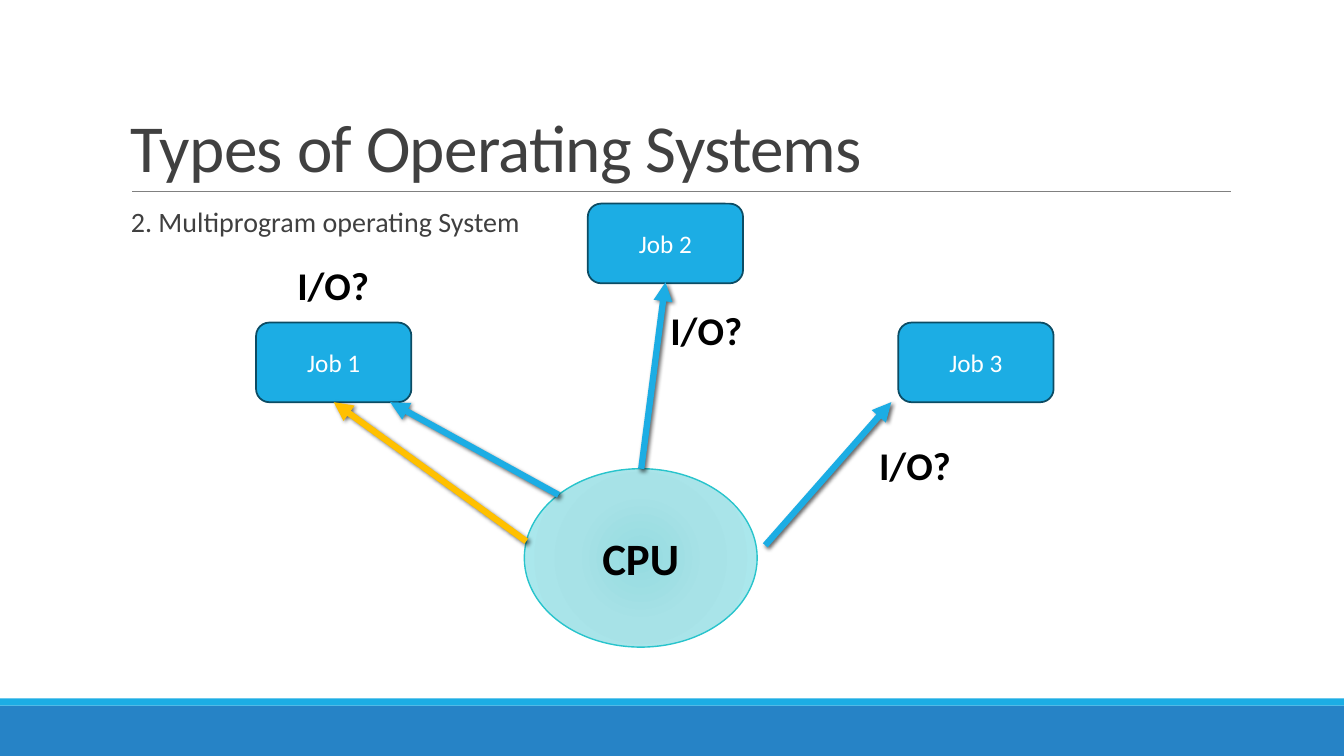
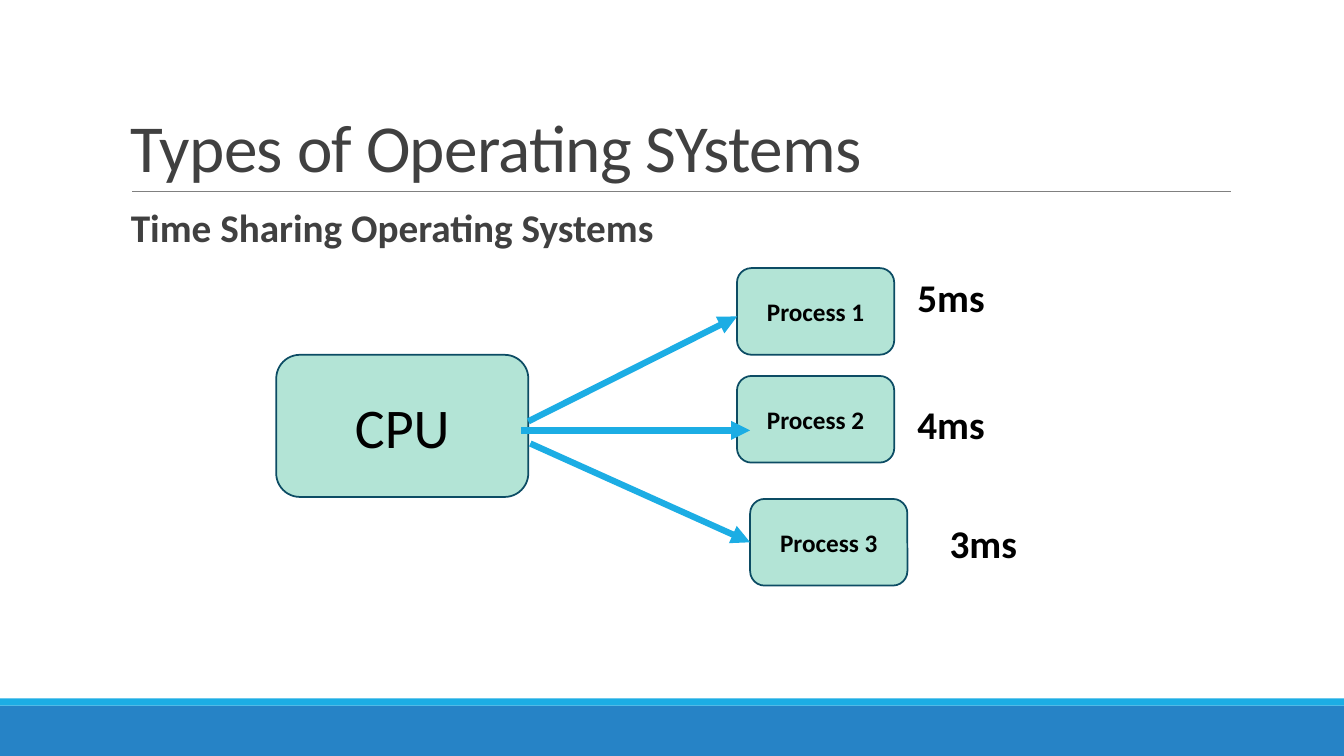
import dataclasses

import lxml.etree
import pptx
import pptx.dml.color
import pptx.enum.shapes
import pptx.enum.text
import pptx.oxml.ns
import pptx.util

Inches = pptx.util.Inches
Shape = pptx.enum.shapes.MSO_SHAPE
Align = pptx.enum.text.PP_ALIGN
Anchor = pptx.enum.text.MSO_ANCHOR


@dataclasses.dataclass(frozen=True)
class Theme:
    # Colours
    blue: str = "1CADE4"
    band: str = "2683C6"
    outline: str = "0C4C64"
    mint: str = "B3E4D6"
    gold: str = "FFC000"
    teal: str = "28C4CC"
    glow: tuple = ((0, "95DBE0"), (45, "A7E2E7"), (100, "ACE9EE"))
    rule: str = "808080"
    heading: str = "404040"
    black: str = "000000"
    white: str = "FFFFFF"
    # Type
    font: str = "Calibri"
    title_size: int = 48
    hub_size: int = 40
    cpu_size: int = 32
    label_size: int = 28
    body_size: int = 20
    box_size: int = 18


THEME = Theme()


def rgb(value):
    return pptx.dml.color.RGBColor.from_string(value)


def add_xml(parent, tag, **attributes):
    """Append a DrawingML element and return it."""
    element = lxml.etree.SubElement(parent, pptx.oxml.ns.qn("a:" + tag))
    for name, value in attributes.items():
        element.set(name, str(value))
    return element


def write_text(frame, text, size, color=THEME.black, bold=False, align=Align.LEFT,
               anchor=Anchor.TOP, wrap=True, line_spacing=None, before=0, after=0,
               tracking=None):
    """Fill a text frame with one formatted paragraph."""
    frame.word_wrap = wrap
    frame.vertical_anchor = anchor
    para = frame.paragraphs[0]
    para.alignment = align
    para.line_spacing = line_spacing
    para.space_before = pptx.util.Pt(before)
    para.space_after = pptx.util.Pt(after)
    span = para.add_run()
    span.text = text
    span.font.name = THEME.font
    span.font.size = pptx.util.Pt(size)
    span.font.bold = bold
    span.font.color.rgb = rgb(color)
    if tracking is not None:
        span.font._element.set("spc", str(round(tracking * 100)))


class DeckBuilder:
    def __init__(self, theme):
        self.theme = theme
        self.deck = pptx.Presentation()
        self.deck.slide_width = Inches(13.33)
        self.deck.slide_height = Inches(7.5)
        self.page = None

    def start_page(self, title, subtitle, **subtitle_format):
        """Add a page with the shared bands, rule, title and subtitle."""
        theme = self.theme
        self.page = self.deck.slides.add_slide(self.deck.slide_layouts[6])
        self.shape(Shape.RECTANGLE, 0, 7, 13.33, 0.5, fill=theme.band)
        self.shape(Shape.RECTANGLE, 0, 6.93, 13.33, 0.07, fill=theme.blue)
        self.line((1.31, 1.9), (12.21, 1.9), theme.rule, 0.5)
        self.text(title, 1.2, 0.31, 11, 1.59, size=theme.title_size,
                  color=theme.heading, anchor=Anchor.BOTTOM, line_spacing=0.85,
                  tracking=-0.5)
        self.text(subtitle, 1.2, 2.02, 11, 4.4, color=theme.heading,
                  line_spacing=0.9, before=12, after=2, **subtitle_format)

    def text(self, text, left, top, width, height, grow=False, **text_format):
        box = self.page.shapes.add_textbox(
            Inches(left), Inches(top), Inches(width), Inches(height))
        write_text(box.text_frame, text, **text_format)
        if grow:
            box.text_frame.auto_size = pptx.enum.text.MSO_AUTO_SIZE.SHAPE_TO_FIT_TEXT

    def label(self, text, left, top, width, wrap=True):
        self.text(text, left, top, width, 0.57, grow=True, wrap=wrap,
                  size=self.theme.label_size, bold=True)

    def shape(self, kind, left, top, width, height, fill=None, line=None,
              line_width=1.25, text=None, **text_format):
        shape = self.page.shapes.add_shape(
            kind, Inches(left), Inches(top), Inches(width), Inches(height))
        shape.shadow.inherit = False
        if fill:
            shape.fill.solid()
            shape.fill.fore_color.rgb = rgb(fill)
        if line:
            shape.line.color.rgb = rgb(line)
            shape.line.width = pptx.util.Pt(line_width)
        else:
            shape.line.fill.background()
        if text:
            write_text(shape.text_frame, text, align=Align.CENTER,
                       anchor=Anchor.MIDDLE, **text_format)
        return shape

    def node(self, text, left, top, width, height, fill, **text_format):
        self.shape(Shape.ROUNDED_RECTANGLE, left, top, width, height, fill=fill,
                   line=self.theme.outline, text=text, **text_format)

    def glowing_ellipse(self, text, left, top, width, height):
        ellipse = self.shape(Shape.OVAL, left, top, width, height,
                             line=self.theme.teal, line_width=1, text=text,
                             size=self.theme.cpu_size, bold=True)
        # Radial gradient around the centre
        ellipse.fill.gradient()
        gradient = ellipse._element.spPr.find(pptx.oxml.ns.qn("a:gradFill"))
        gradient.clear()
        stops = add_xml(gradient, "gsLst")
        for position, color in self.theme.glow:
            stop = add_xml(stops, "gs", pos=position * 1000)
            add_xml(stop, "srgbClr", val=color)
        radial = add_xml(gradient, "path", path="circle")
        add_xml(radial, "fillToRect", **dict.fromkeys("ltrb", 100000))

    def line(self, start, end, color, width, arrow=False, shadow=False):
        connector = self.page.shapes.add_connector(
            pptx.enum.shapes.MSO_CONNECTOR.STRAIGHT,
            *(Inches(value) for value in (*start, *end)))
        connector.line.color.rgb = rgb(color)
        connector.line.width = pptx.util.Pt(width)
        if arrow:
            add_xml(connector.line._get_or_add_ln(), "tailEnd", type="triangle")
        effects = add_xml(connector._element.spPr, "effectLst")
        if shadow:
            outer = add_xml(effects, "outerShdw", blurRad=pptx.util.Pt(3),
                            dist=pptx.util.Pt(2), dir=45 * 60000, rotWithShape=0)
            tint = add_xml(outer, "srgbClr", val=self.theme.black)
            add_xml(tint, "alpha", val=60000)

    def arrow(self, start, end, color=THEME.blue, shadow=False):
        self.line(start, end, color, 4.5, arrow=True, shadow=shadow)


def build_multiprogram(builder):
    theme = builder.theme
    builder.start_page("Types of Operating Systems", "2. Multiprogram operating System",
                       size=theme.body_size)
    builder.glowing_ellipse("CPU", 5.2, 4.65, 2.31, 1.77)

    # Jobs and their waiting labels
    for name, left, top in (("Job 1", 2.54, 3.2), ("Job 2", 5.83, 2.02),
                            ("Job 3", 8.91, 3.2)):
        builder.node(name, left, top, 1.54, 0.79, theme.blue,
                     size=theme.box_size, color=theme.white)
    for left, top in ((2.85, 2.54), (6.55, 2.99), (8.62, 4.33)):
        builder.label("I/O?", left, top, 0.92, wrap=False)

    # Processor turns, the last one back to the first job
    for start, end, color in (((5.54, 4.91), (3.87, 3.99), theme.blue),
                              ((6.36, 4.65), (6.6, 2.8), theme.blue),
                              ((7.59, 5.41), (8.84, 3.99), theme.blue),
                              ((5.22, 5.37), (3.31, 3.99), theme.gold)):
        builder.arrow(start, end, color, shadow=True)


def build_time_sharing(builder):
    theme = builder.theme
    builder.start_page("Types of Operating SYstems", "Time Sharing Operating Systems",
                       size=theme.label_size, bold=True)
    builder.node("CPU", 2.74, 3.52, 2.5, 1.41, theme.mint, size=theme.hub_size)

    # Processes: box corner, time slice and its corner, arrow ends
    processes = (
        ((7.31, 2.66), "5ms", (9, 2.66), (5.24, 4.18), (7.31, 3.14)),
        ((7.31, 3.73), "4ms", (9, 3.92), (5.17, 4.27), (7.44, 4.27)),
        ((7.44, 4.95), "3ms", (9.32, 5.1), (5.26, 4.4), (7.44, 5.38)),
    )
    for number, (corner, time, time_corner, start, end) in enumerate(processes, 1):
        builder.node(f"Process {number}", *corner, 1.56, 0.86, theme.mint,
                     size=theme.box_size, bold=True)
        builder.arrow(start, end)
        builder.label(time, *time_corner, 1.29)


def main():
    builder = DeckBuilder(THEME)
    build_multiprogram(builder)
    build_time_sharing(builder)
    builder.deck.save("out.pptx")


if __name__ == "__main__":
    main()
